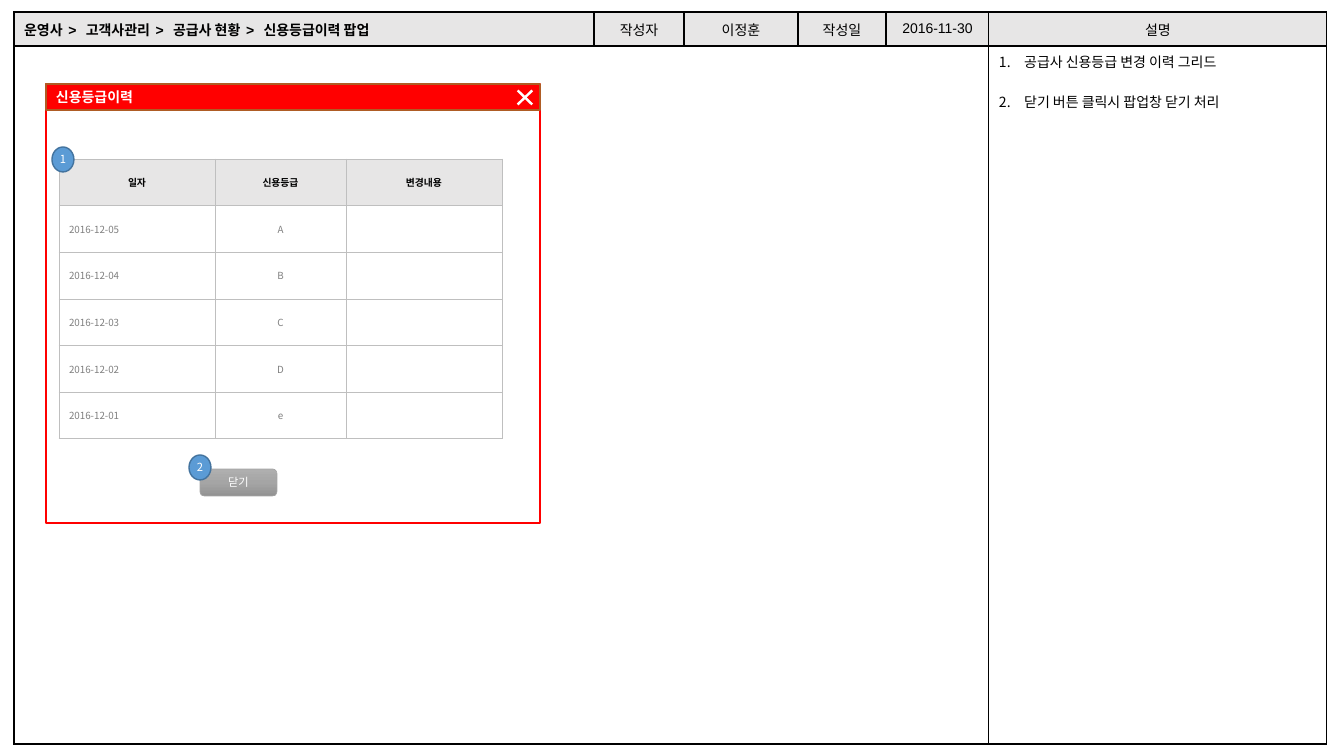
import copy

import pptx
import pptx.dml.color
import pptx.enum.shapes
import pptx.enum.text
import pptx.oxml.ns
import pptx.util
from lxml import etree

SHAPE = pptx.enum.shapes.MSO_SHAPE
LEFT = pptx.enum.text.PP_ALIGN.LEFT
CENTER = pptx.enum.text.PP_ALIGN.CENTER
MIDDLE = pptx.enum.text.MSO_ANCHOR.MIDDLE
TOP = pptx.enum.text.MSO_ANCHOR.TOP
qn = pptx.oxml.ns.qn

BLACK, WHITE, RED = "000000", "FFFFFF", "FF0000"
HEADER_GREY, TEXT_GREY, GRID_GREY = "E7E6E6", "808080", "BFBFBF"
KOREAN = "Noto Sans CJK KR"
SEPARATOR = " > "


def px(count):
    return pptx.util.Emu(round(count * 914400 / 100.8))


def rgb(value):
    return pptx.dml.color.RGBColor.from_string(value)


def text_format(size, color=BLACK, bold=False, name=KOREAN):
    return {"size": pptx.util.Pt(size), "bold": bold, "name": name, "color": color}


class Screen:
    """Draws the elements of a screen specification on one slide."""

    def __init__(self, slide):
        self.shapes = slide.shapes
        self.header = text_format(10, name="Arial")
        self.breadcrumb = text_format(10, bold=True, name="Arial")
        self.popup_title = text_format(10, WHITE, bold=True)
        self.grid_header = text_format(7, bold=True)
        self.grid_body = text_format(7, TEXT_GREY)
        self.label = text_format(8, WHITE)

    def add_text(self, paragraph, text, style, align=LEFT):
        """Add the text, with wider spacing around breadcrumb separators."""
        paragraph.alignment = align
        for index, part in enumerate(text.split(SEPARATOR)):
            for piece in ([SEPARATOR] if index else []) + [part]:
                run = paragraph.add_run()
                run.text = piece
                for attribute, value in style.items():
                    if attribute == "color":
                        run.font.color.rgb = rgb(value)
                    else:
                        setattr(run.font, attribute, value)
                properties = run.font._element
                etree.SubElement(properties, qn("a:ea"), typeface=KOREAN)
                if piece == SEPARATOR:
                    properties.set("spc", "190")

    def shape(self, kind, box, fill=None, line=None, line_width=1):
        shape = self.shapes.add_shape(kind, *map(px, box))
        shape.shadow.inherit = False
        if fill:
            shape.fill.solid()
            shape.fill.fore_color.rgb = rgb(fill)
        if line:
            shape.line.color.rgb = rgb(line)
            shape.line.width = pptx.util.Pt(line_width)
        else:
            shape.line.fill.background()
        return shape

    def caption(self, shape, text, style, align=CENTER, side_margin=0):
        frame = shape.text_frame
        settings = {"margin_left": px(side_margin), "margin_right": px(side_margin),
                    "margin_top": 0, "margin_bottom": 0,
                    "vertical_anchor": MIDDLE, "word_wrap": True}
        for attribute, value in settings.items():
            setattr(frame, attribute, value)
        self.add_text(frame.paragraphs[0], text, style, align)

    def marker(self, number, left, top):
        circle = self.shape(SHAPE.OVAL, (left, top, 22, 25), "5B9BD5", "43739E")
        self.caption(circle, str(number), self.label)

    def button(self, text, box):
        button = self.shape(SHAPE.ROUNDED_RECTANGLE, box, line="A5A5A5", line_width=0.5)
        button.fill.gradient()
        button.fill.gradient_angle = 270
        stops = button._element.spPr.find(qn("a:gradFill")).find(qn("a:gsLst"))
        stops.insert(1, copy.deepcopy(stops[0]))
        stops[1].set("pos", "50000")
        for stop, color in zip(button.fill.gradient_stops, ("AFAFAF", "A5A5A5", "939393")):
            stop.color.rgb = rgb(color)
        self.caption(button, text, self.label)

    def table(self, left, top, widths, height, row_count, border, border_width):
        table = self.shapes.add_table(row_count, len(widths), px(left), px(top),
                                      px(sum(widths)), px(height)).table
        table.first_row = table.horz_banding = False
        for column, width in zip(table.columns, widths):
            column.width = px(width)
        for cell in table.iter_cells():
            properties = cell._tc.get_or_add_tcPr()
            for side in ("a:lnL", "a:lnR", "a:lnT", "a:lnB"):
                line = etree.SubElement(properties, qn(side), w=str(pptx.util.Pt(border_width)))
                fill = etree.SubElement(line, qn("a:solidFill"))
                etree.SubElement(fill, qn("a:srgbClr"), val=border)
            cell.fill.background()
        return table

    def cell(self, cell, text, style, align=CENTER, fill=None):
        cell.vertical_anchor = MIDDLE
        if fill:
            cell.fill.solid()
            cell.fill.fore_color.rgb = rgb(fill)
        if text:
            self.add_text(cell.text_frame.paragraphs[0], text, style, align)

    def numbered_list(self, cell, items, style):
        cell.vertical_anchor = TOP
        frame = cell.text_frame
        for index, item in enumerate(items):
            paragraph = frame.add_paragraph() if index else frame.paragraphs[0]
            if index:
                paragraph.space_before = pptx.util.Pt(14.6)
            properties = paragraph._p.get_or_add_pPr()
            indent = pptx.util.Inches(0.25)
            properties.set("marL", str(indent))
            properties.set("indent", str(-indent))
            etree.SubElement(properties, qn("a:buFont"), typeface="Arial")
            etree.SubElement(properties, qn("a:buAutoNum"), type="arabicPeriod")
            self.add_text(paragraph, item, style)


def draw_sheet(screen):
    """The outer table: header row, work area and description column."""
    sheet = screen.table(14, 12, [580, 90, 114, 88, 103, 338], 732, 2, BLACK, 1)
    for row, height in zip(sheet.rows, (34, 698)):
        row.height = px(height)
    menu_trail = SEPARATOR.join(["운영사", "고객사관리", "공급사 현황", "신용등급이력 팝업"])
    screen.cell(sheet.cell(0, 0), menu_trail, screen.breadcrumb, LEFT, HEADER_GREY)
    for column, text in enumerate(["작성자", "이정훈", "작성일", "2016-11-30", "설명"], 1):
        screen.cell(sheet.cell(0, column), text, screen.header, CENTER, HEADER_GREY)
    sheet.cell(1, 0).merge(sheet.cell(1, 4))
    descriptions = ["공급사 신용등급 변경 이력 그리드", "닫기 버튼 클릭시 팝업창 닫기 처리"]
    screen.numbered_list(sheet.cell(1, 5), descriptions, screen.header)


def draw_popup(screen):
    screen.shape(SHAPE.RECTANGLE, (46, 84, 494, 439), WHITE, RED)
    title_bar = screen.shape(SHAPE.RECTANGLE, (46, 84, 494, 26), RED, "AF5C24")
    screen.caption(title_bar, "신용등급이력", screen.popup_title, LEFT, 10)
    close_icon = screen.shape(SHAPE.MATH_MULTIPLY, (511, 84, 28, 27), WHITE)
    close_icon.adjustments[0] = 0.09

    grades = ["A", "B", "C", "D", "e"]
    history = screen.table(59, 159, [156, 131, 156], 280, len(grades) + 1, GRID_GREY, 0.5)
    for column, heading in enumerate(["일자", "신용등급", "변경내용"]):
        screen.cell(history.cell(0, column), heading, screen.grid_header, CENTER, HEADER_GREY)
    for row, grade in enumerate(grades, 1):
        date = f"2016-12-0{len(grades) + 1 - row}"
        for column, (text, align) in enumerate([(date, LEFT), (grade, CENTER), ("", CENTER)]):
            screen.cell(history.cell(row, column), text, screen.grid_body, align, WHITE)

    screen.marker(1, 52, 147)
    screen.button("닫기", (200, 469, 77, 27))
    screen.marker(2, 189, 455)


def main():
    deck = pptx.Presentation()
    deck.slide_width, deck.slide_height = px(1344), px(756)
    blank_layout = deck.slide_layouts[6]
    screen = Screen(deck.slides.add_slide(blank_layout))
    draw_sheet(screen)
    draw_popup(screen)
    deck.save("out.pptx")


if __name__ == "__main__":
    main()
